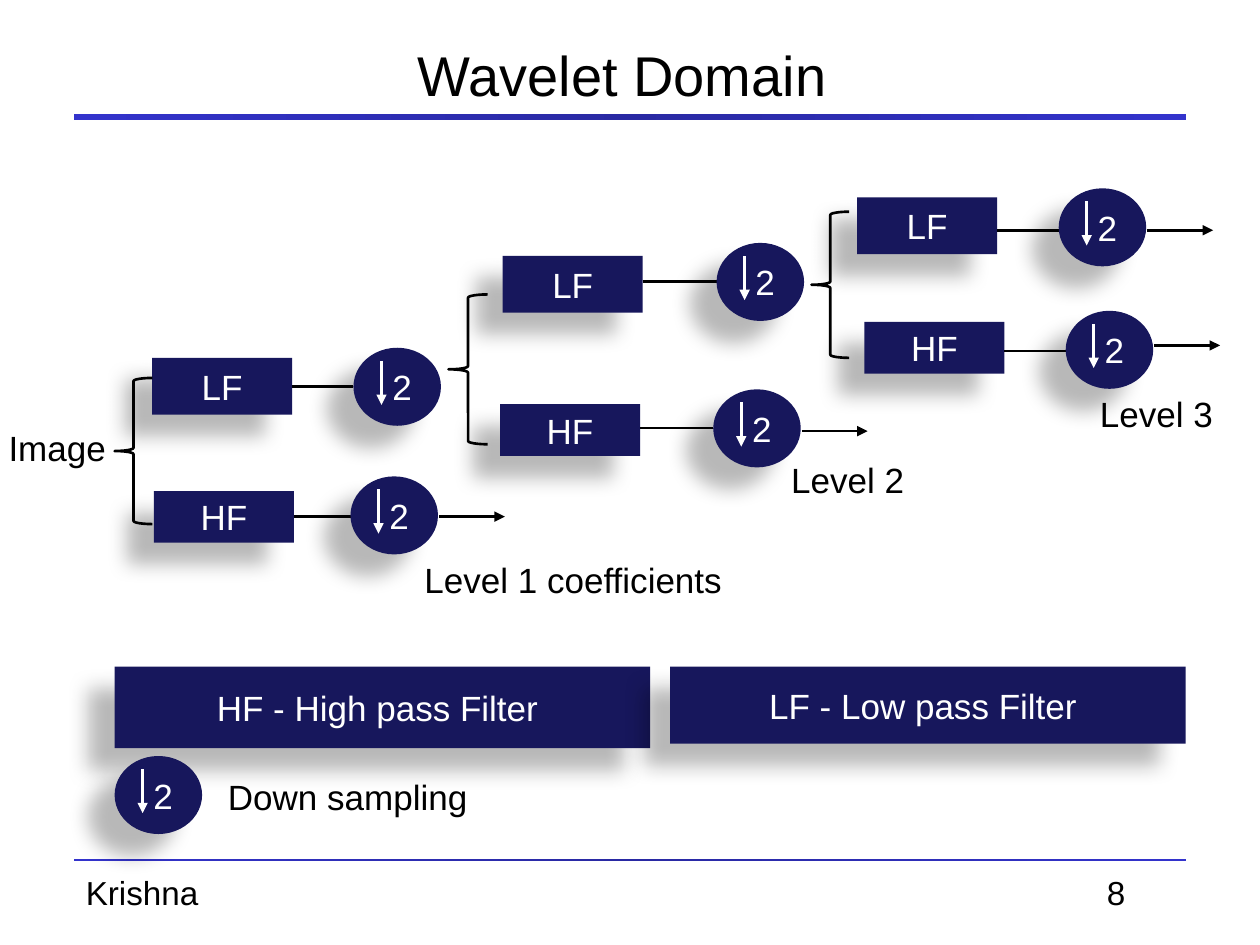
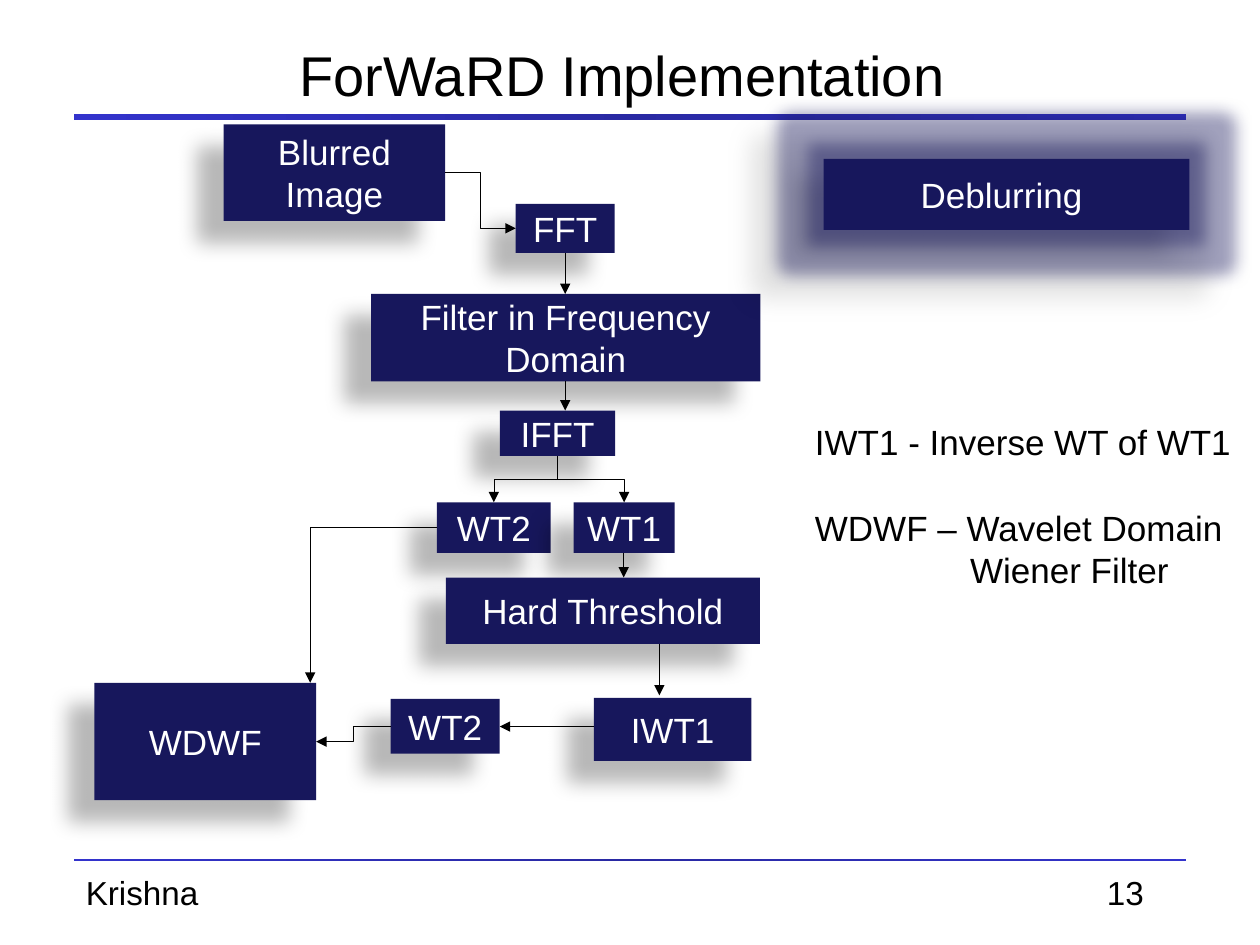
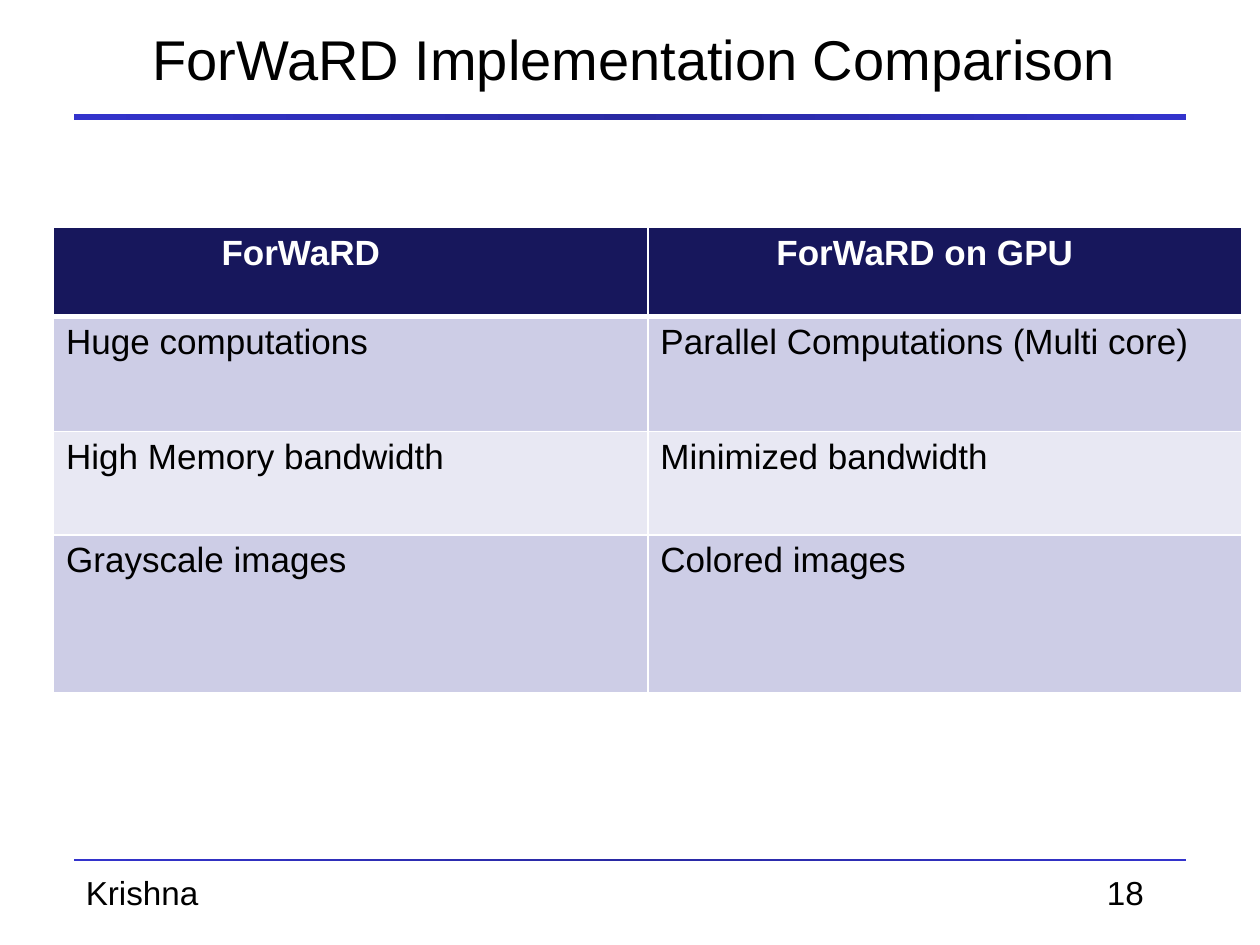
import dataclasses

import pptx
import pptx.dml.color
import pptx.enum.shapes
import pptx.enum.text
import pptx.oxml
import pptx.oxml.ns
import pptx.util

Pt = pptx.util.Pt
RGB = pptx.dml.color.RGBColor
SHAPE = pptx.enum.shapes.MSO_SHAPE
LINE = pptx.enum.shapes.MSO_CONNECTOR
ALIGN = pptx.enum.text.PP_ALIGN
ANCHOR = pptx.enum.text.MSO_ANCHOR
A = pptx.oxml.ns.nsdecls("a")
qn = pptx.oxml.ns.qn


@dataclasses.dataclass(frozen=True)
class Theme:
    font: str = "Arial"
    title_size: float = 32
    body_size: float = 20
    footer_size: float = 19
    ink: RGB = RGB(0, 0, 0)
    paper: RGB = RGB(255, 255, 255)
    navy: RGB = RGB(0x17, 0x17, 0x5C)
    band_edge: RGB = RGB(0x33, 0x33, 0xCC)
    band_middle: RGB = RGB(0x29, 0x29, 0xA3)
    row_dark: RGB = RGB(0xCD, 0xCD, 0xE6)
    row_light: RGB = RGB(0xE8, 0xE8, 0xF3)


theme = Theme()


def add_label(page, text, frame, kind=None, size=theme.body_size):
    """Plain text, or a navy shadowed shape with centred text when kind is given."""
    if kind is None:
        box = page.shapes.add_textbox(*map(Pt, frame))
        box.text_frame.word_wrap = False
        color, align = theme.ink, ALIGN.LEFT
    else:
        box = page.shapes.add_shape(kind, *map(Pt, frame))
        box.fill.solid()
        box.fill.fore_color.rgb = theme.navy
        box.line.fill.background()
        box.shadow.inherit = False
        box.element.spPr.find(qn("a:effectLst")).append(pptx.oxml.parse_xml(
            f'<a:outerShdw {A} blurRad="{Pt(11.8)}" dist="{Pt(19.7)}" dir="{141 * 60000}" '
            'algn="ctr" rotWithShape="0"><a:srgbClr val="000000"><a:alpha val="28000"/>'
            '</a:srgbClr></a:outerShdw>'))
        box.text_frame.vertical_anchor = ANCHOR.MIDDLE
        color, align = theme.paper, ALIGN.CENTER
    box.text_frame.text = text
    for para in box.text_frame.paragraphs:
        para.alignment = align
        para.font.name = theme.font
        para.font.size = Pt(size)
        para.font.color.rgb = color
    return box


def add_line(page, start, end, weight=1.5, color=theme.ink, arrow=True, kind=LINE.STRAIGHT):
    line = page.shapes.add_connector(kind, *map(Pt, (*start, *end)))
    line.line.color.rgb = color
    line.line.width = Pt(weight)
    if arrow:
        line.element.spPr.find(qn("a:ln")).append(
            pptx.oxml.parse_xml(f'<a:tailEnd {A} type="triangle"/>'))
    line.element.spPr.append(pptx.oxml.parse_xml(f"<a:effectLst {A}/>"))
    return line


deck = pptx.Presentation()
deck.slide_width, deck.slide_height = Pt(720), Pt(540)

# Title, bands and footer of every slide
pages = []
for title_text, number, title_frame in [
    ("Wavelet Domain ", "8", (54, 9.4, 612, 66)),
    ("ForWaRD Implementation ", "13", (54, 9.4, 612, 66)),
    ("ForWaRD Implementation Comparison", "18", (16, 0, 693, 66)),
]:
    page = deck.slides.add_slide(deck.slide_layouts[5])
    pages.append(page)
    title = page.shapes.title
    title.left, title.top, title.width, title.height = map(Pt, title_frame)
    title.text_frame.text = title_text
    title.text_frame.vertical_anchor = ANCHOR.MIDDLE
    title.text_frame.auto_size = pptx.enum.text.MSO_AUTO_SIZE.NONE
    para = title.text_frame.paragraphs[0]
    para.alignment = ALIGN.CENTER
    para.font.name = theme.font
    para.font.size = Pt(theme.title_size)
    para.font.color.rgb = theme.ink
    for top, height in [(65.3, 3.4), (491, 1.2)]:
        band = page.shapes.add_shape(SHAPE.RECTANGLE, Pt(42), Pt(top), Pt(636), Pt(height))
        band.shadow.inherit = False
        band.line.fill.background()
        band.fill.gradient()
        band.fill.gradient_angle = 0
        for stop in band.fill.gradient_stops:
            stop.color.rgb = theme.band_edge
        stop_list = band.element.spPr.find(qn("a:gradFill")).find(qn("a:gsLst"))
        stop_list.insert(1, pptx.oxml.parse_xml(
            f'<a:gs {A} pos="50000"><a:srgbClr val="{theme.band_middle}"/></a:gs>'))
    add_label(page, "Krishna", (42, 495, 199, 30), size=theme.footer_size)
    add_label(page, number, (625.5, 495, 53, 30), size=theme.footer_size)

wavelet_page, diagram_page, comparison_page = pages

# Wavelet filter bank: filter, link, down-sampler and output of each branch
filter_width, disc_width, disc_height = 80, 50, 44.6
filter_heights = {"LF": 32.5, "HF": 29.5}
discs = [(65.5, 432)]
for name, filter_left, filter_top, disc_left, disc_top, link_y, output_y in [
    ("LF", 87, 204.5, 202, 198.7, 221, None),
    ("HF", 88, 280.6, 200.3, 272.2, 295.2, 295.2),
    ("LF", 287.3, 146.2, 409.5, 138.8, 160.8, None),
    ("HF", 285.8, 231, 407.6, 222.5, 244.6, 246.4),
    ("LF", 489.8, 112.8, 605, 107.6, 131.6, 131.6),
    ("HF", 494, 184, 609, 177.6, 200.6, 197.4),
]:
    add_label(wavelet_page, name, (filter_left, filter_top, filter_width, filter_heights[name]),
              SHAPE.RECTANGLE)
    add_line(wavelet_page, (filter_left + filter_width, link_y), (disc_left, link_y), arrow=False)
    if output_y:
        output_left = disc_left + disc_width + 0.7
        add_line(wavelet_page, (output_left, output_y), (output_left + 37.5, output_y))
    discs.append((disc_left, disc_top))

# Legend bars
add_label(wavelet_page, "HF - High pass Filter ", (65.5, 381, 306, 46.5), SHAPE.RECTANGLE)
add_label(wavelet_page, "LF - Low pass Filter ", (383, 381, 294.5, 44), SHAPE.RECTANGLE)

# Down-sampling discs, the first one belonging to the legend
for left, top in discs:
    add_label(wavelet_page, " 2", (left, top, disc_width, disc_height), SHAPE.OVAL)
    add_line(wavelet_page, (left + 16, top + 7.5), (left + 16, top + 32.7), color=theme.paper)

# Braces that split each signal
for frame in [(65.5, 216, 21.6, 83.5), (256.3, 168.3, 22.3, 85.6), (463.7, 121, 21.6, 83.5)]:
    brace = wavelet_page.shapes.add_shape(SHAPE.LEFT_BRACE, *map(Pt, frame))
    brace.shadow.inherit = False
    brace.fill.background()
    brace.line.color.rgb = theme.ink
    brace.line.width = Pt(1.5)

# Captions
for text, left, top, width in [
    ("Image", -2.2, 240, 70.5),
    ("Level 1 coefficients", 235.5, 315.7, 186),
    ("Level 2", 445, 258.2, 80),
    ("Level 3", 621.4, 221, 80),
    ("Down sampling", 123.1, 439.5, 152.6),
]:
    add_label(wavelet_page, text, (left, top, width, 31.5))

# Deblurring flow chart: steps
for text, *frame in [
    ("FFT", 294.7, 116.6, 56.6, 28),
    ("Filter in Frequency Domain", 212, 168, 222.5, 50),
    ("IFFT", 285.7, 234.6, 65.8, 26),
    ("WT2", 249.7, 287, 65, 29),
    ("WT1", 327.8, 287, 57.7, 29),
    ("Hard Threshold", 254.8, 330, 179.5, 38),
    ("IWT1", 339.4, 398.8, 90, 36),
    ("WT2", 223.2, 399.4, 62.4, 31.2),
    ("WDWF", 54, 390.2, 126.7, 67),
    ("Blurred Image", 127.8, 71, 126.6, 55.3),
]:
    add_label(diagram_page, text, frame, SHAPE.RECTANGLE)

# Glowing heading of the flow chart
heading = add_label(diagram_page, "Deblurring ", (470.6, 90.8, 209, 40.6), SHAPE.RECTANGLE)
heading.element.spPr.find(qn("a:effectLst")).insert(0, pptx.oxml.parse_xml(
    f'<a:glow {A} rad="{Pt(18)}"><a:srgbClr val="{theme.navy}">'
    '<a:alpha val="40000"/></a:srgbClr></a:glow>'))

# Straight arrows
for start, end, weight in [
    ((323, 144.6), (323, 168), 0.75),
    ((323, 218), (323, 234.6), 0.75),
    ((356.4, 316), (356.4, 330), 0.25),
    ((376.8, 368), (376.8, 397.4), 0.5),
    ((339.4, 415.2), (285.6, 415.2), 0.75),
]:
    add_line(diagram_page, start, end, weight)

# Elbow arrows that leave sideways
add_line(diagram_page, (254.4, 98.6), (294.7, 130.5), 0.75, kind=LINE.ELBOW)
add_line(diagram_page, (223.2, 415.2), (180.7, 423.8), 0.25, kind=LINE.ELBOW)
corner = add_line(diagram_page, (249.7, 301.5), (177.3, 390.2), 0.25, kind=LINE.ELBOW)
corner.element.spPr.find(qn("a:prstGeom")).set("prst", "bentConnector2")

# Elbow arrows that leave downwards: laid out sideways, then turned by 90 degrees
fork_x, fork_top, fork_bottom = 318.6, 260.6, 287
for branch_x in (282.2, 356.6):
    middle_x, middle_y = (fork_x + branch_x) / 2, (fork_top + fork_bottom) / 2
    half_run, half_drop = (branch_x - fork_x) / 2, (fork_bottom - fork_top) / 2
    fork = add_line(diagram_page, (middle_x - half_drop, middle_y + half_run),
                    (middle_x + half_drop, middle_y - half_run), 0.25, kind=LINE.ELBOW)
    fork.element.spPr.find(qn("a:xfrm")).set("rot", str(90 * 60000))

# Abbreviations
notes = add_label(diagram_page, "IWT1 - Inverse WT of WT1\nWDWF – Wavelet Domain\nWiener Filter",
                  (458.6, 237, 258, 104))
notes.text_frame.word_wrap = True
notes.text_frame.paragraphs[1].space_before = Pt(25)
notes.text_frame.paragraphs[2]._p.get_or_add_pPr().set("marL", str(Pt(88.7)))

# Comparison table
rows = [
    ("ForWaRD", "ForWaRD on GPU"),
    ("Huge computations", "Parallel Computations (Multi core)"),
    ("High Memory bandwidth", "Minimized bandwidth"),
    ("Grayscale images", "Colored images"),
]
row_heights = [50.8, 65.8, 59, 90.4]
row_fills = [theme.navy, theme.row_dark, theme.row_light, theme.row_dark]
header_indents = [96, 73.5]
table = comparison_page.shapes.add_table(
    len(rows), 2, Pt(30.6), Pt(130), Pt(679.2), Pt(sum(row_heights))).table
for column in table.columns:
    column.width = Pt(339.6)
for row_index, texts in enumerate(rows):
    header = row_index == 0
    table.rows[row_index].height = Pt(row_heights[row_index])
    for column_index, text in enumerate(texts):
        cell = table.cell(row_index, column_index)
        for side in "LRTB":
            heavy = (row_index, side) in [(0, "B"), (1, "T")]
            cell._tc.get_or_add_tcPr().append(pptx.oxml.parse_xml(
                f'<a:ln{side} {A} w="{Pt(3 if heavy else 1)}"><a:solidFill>'
                f'<a:srgbClr val="{theme.paper}"/></a:solidFill></a:ln{side}>'))
        cell.fill.solid()
        cell.fill.fore_color.rgb = row_fills[row_index]
        if header:
            cell.margin_left = Pt(header_indents[column_index])
        cell.text_frame.text = text
        span = cell.text_frame.paragraphs[0].runs[0]
        span.font.name = theme.font
        span.font.size = Pt(theme.body_size)
        span.font.bold = header
        span.font.color.rgb = theme.paper if header else theme.ink

deck.save("out.pptx")
